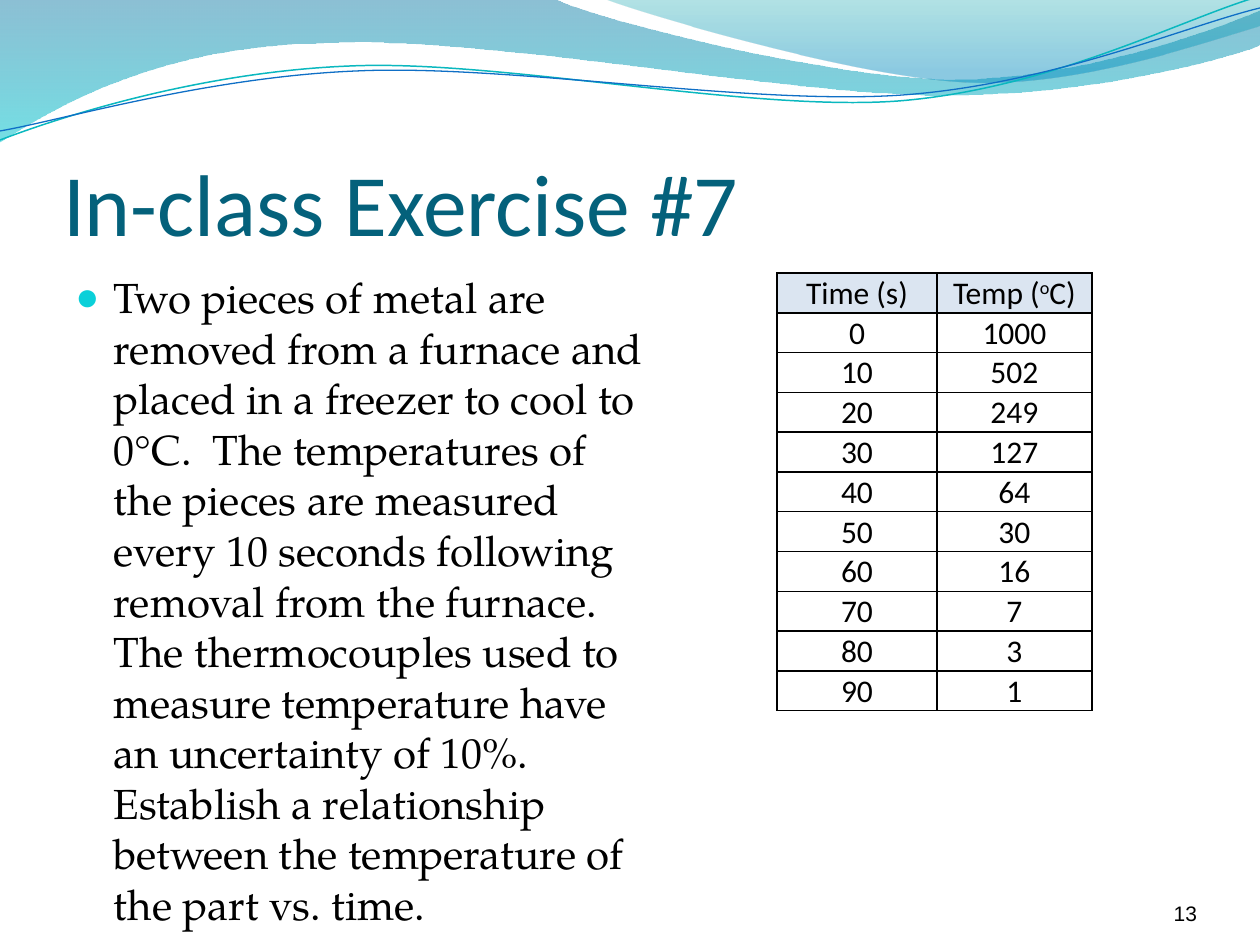
from lxml.etree import SubElement
from pptx import Presentation
from pptx.dml.color import RGBColor
from pptx.enum.text import MSO_ANCHOR, MSO_AUTO_SIZE, PP_ALIGN
from pptx.oxml.ns import qn
from pptx.util import Emu, Pt

EMU_PER_PIXEL = 914400 / 126

BLACK = RGBColor(0x00, 0x00, 0x00)
TITLE_BLUE = RGBColor(0x04, 0x61, 0x7B)
BULLET_CYAN = RGBColor(0x0B, 0xD0, 0xD9)
HEADER_FILL = RGBColor(0xDB, 0xE5, 0xF1)
DEEP_BLUE = RGBColor(0x00, 0x74, 0xA1)
CYAN = RGBColor(0x00, 0xC6, 0xCF)
TEAL = RGBColor(0x00, 0xA1, 0xA9)
SKY_BLUE = RGBColor(0x00, 0x8B, 0xBF)
TEAL_LINE = RGBColor(0x0A, 0xB8, 0xBF)
BLUE_LINE = RGBColor(0x0F, 0x6F, 0xC6)

# Each band or ribbon is a start point and segments: 2 numbers draw a line, 6 a cubic curve.
WIDE_BAND = [(0, 0), (554, -1), (600, 21, 837, 79, 955, 79),
             (1075, 79, 1207, 33, 1260, 11), (1261, 45),
             (1239, 55, 1096, 96, 940, 95), (784, 95, 481, 35, 324, 43),
             (163, 45, 58, 105, -1, 142), (0, 0)]
RIGHT_BAND = [(604, -1), (641, 14, 859, 78, 969, 82),
              (1079, 87, 1211, 40, 1260, 26), (1260, 0), (604, -1)]
TEAL_RIBBON = [(0, 140), (60, 117, 199, 72, 349, 66),
               (498, 59, 747, 112, 898, 101), (1050, 89, 1182, 19, 1257, -3)]
BLUE_RIBBON = [(0, 131), (59, 121, 207, 77, 357, 71),
               (508, 64, 752, 106, 903, 95), (1053, 84, 1186, 26, 1260, 8)]

EXERCISE = (
    "Two pieces of metal are removed from a furnace and placed in a freezer "
    "to cool to 0°C.  The temperatures of the pieces are measured every 10 "
    "seconds following removal from the furnace.  The thermocouples used to "
    "measure temperature have an uncertainty of 10%. Establish a relationship "
    "between the temperature of the part vs. time.")
TEMPERATURES = [1000, 502, 249, 127, 64, 30, 16, 7, 3, 1]
TIME_STEP = 10


def px(length):
    """Turn picture pixels into EMU."""
    return Emu(round(length * EMU_PER_PIXEL))


def write(frame, *runs, font="Calibri", size=18, color=BLACK,
          align=PP_ALIGN.LEFT, anchor=MSO_ANCHOR.TOP, superscript=None):
    """Fill a text frame with one formatted paragraph and return it."""
    frame.word_wrap = True
    frame.vertical_anchor = anchor
    paragraph = frame.paragraphs[0]
    paragraph.alignment = align
    for text in runs:
        run = paragraph.add_run()
        run.text = text
        run.font.name = font
        run.font.size = Pt(size)
        run.font.color.rgb = color
        if text == superscript:
            run.font._element.set("baseline", "30000")
    return paragraph


def set_margins(holder, left, top, right, bottom):
    """Set the inner margins of a text frame or table cell."""
    holder.margin_left, holder.margin_top = px(left), px(top)
    holder.margin_right, holder.margin_bottom = px(right), px(bottom)


def bend(shape, segments):
    """Join each three lines that stand for a curve into one cubic curve."""
    lines = iter(list(shape._element.iter(qn("a:lnTo"))))
    for segment in segments:
        pieces = [next(lines) for _ in range(len(segment) // 2)]
        if len(pieces) == 3:
            curve = pieces[0].makeelement(qn("a:cubicBezTo"))
            pieces[0].addprevious(curve)
            for piece in pieces:
                curve.append(piece[0])
                piece.getparent().remove(piece)


def add_outline(slide, outline, close):
    """Draw an outline of lines and curves as a freeform without a shadow."""
    start, *segments = outline
    points = [(px(segment[i]), px(segment[i + 1]))
              for segment in segments for i in range(0, len(segment), 2)]
    builder = slide.shapes.build_freeform(px(start[0]), px(start[1]))
    builder.add_line_segments(points, close=close)
    shape = builder.convert_to_shape()
    shape.shadow.inherit = False
    bend(shape, segments)
    return shape


def add_band(slide, outline, *stops):
    """Draw a closed band with a translucent top-to-bottom gradient."""
    band = add_outline(slide, outline, close=True)
    band.line.fill.background()
    band.fill.gradient()
    band.fill.gradient_angle = 270
    for stop, (position, color, _) in zip(band.fill.gradient_stops, stops):
        stop.position = position
        stop.color.rgb = color
    colors = band._element.spPr.iter(qn("a:srgbClr"))
    for element, (_, _, opacity) in zip(colors, stops):
        SubElement(element, qn("a:alpha"), val=str(opacity * 1000))


def add_ribbon(slide, outline, color, width):
    """Draw an open curved line."""
    ribbon = add_outline(slide, outline, close=False)
    ribbon.fill.background()
    ribbon.line.color.rgb = color
    ribbon.line.width = Pt(width)


def add_title(slide, text):
    """Place and fill the title placeholder."""
    title = slide.shapes.title
    title.left, title.top, title.width, title.height = map(px, (63, 97, 1134, 157))
    set_margins(title.text_frame, 0, 6, 0, 0)
    title.text_frame.auto_size = MSO_AUTO_SIZE.NONE
    write(title.text_frame, text, size=50, color=TITLE_BLUE, anchor=MSO_ANCHOR.BOTTOM)


def add_exercise(slide, text):
    """Add the bulleted exercise text."""
    box = slide.shapes.add_textbox(*map(px, (63, 265, 598, 611)))
    paragraph = write(box.text_frame, text, font="TeX Gyre Pagella", size=24)
    paragraph.line_spacing = Pt(28.9)
    paragraph.space_before = Pt(4)
    properties = paragraph._p.get_or_add_pPr()
    properties.set("marL", str(px(38)))
    properties.set("indent", str(px(-38)))
    bullet_color = SubElement(properties, qn("a:buClr"))
    SubElement(bullet_color, qn("a:srgbClr"), val=str(BULLET_CYAN))
    SubElement(properties, qn("a:buSzPct"), val="95000")
    SubElement(properties, qn("a:buFont"), typeface="Arial")
    SubElement(properties, qn("a:buChar"), char="●")


def add_page_number(slide, number):
    """Add the page number in the lower right corner."""
    box = slide.shapes.add_textbox(*map(px, (1092, 876, 105, 50)))
    set_margins(box.text_frame, 0, 0, 0, 0)
    write(box.text_frame, number, font="Arial", size=12,
          align=PP_ALIGN.RIGHT, anchor=MSO_ANCHOR.BOTTOM)


def add_borders(cell):
    """Give a cell thin black borders on all sides."""
    properties = cell._tc.get_or_add_tcPr()
    for index, side in enumerate(("lnL", "lnR", "lnT", "lnB")):
        border = properties.makeelement(qn(f"a:{side}"), {"w": str(Pt(1))})
        fill = SubElement(border, qn("a:solidFill"))
        SubElement(fill, qn("a:srgbClr"), val=str(BLACK))
        properties.insert(index, border)


def add_cooling_table(slide):
    """Add the table of temperature against time."""
    rows = [(["Time (s)"], ["Temp (", "o", "C)"])]
    rows += [([str(index * TIME_STEP)], [str(temperature)])
             for index, temperature in enumerate(TEMPERATURES)]
    frame = slide.shapes.add_table(
        len(rows), 2, *map(px, (777, 273, 315, 438)))
    table = frame.table
    table.first_row = table.horz_banding = False
    for column, width in zip(table.columns, (160, 155)):
        column.width = px(width)
    for row_index, row in enumerate(rows):
        for column_index, runs in enumerate(row):
            cell = table.cell(row_index, column_index)
            set_margins(cell, 1, 1, 1, 0)
            write(cell.text_frame, *runs, align=PP_ALIGN.CENTER, superscript="o")
            cell.vertical_anchor = MSO_ANCHOR.BOTTOM
            if row_index == 0:
                cell.fill.solid()
                cell.fill.fore_color.rgb = HEADER_FILL
            else:
                cell.fill.background()
            add_borders(cell)
    table.cell(0, 0).vertical_anchor = MSO_ANCHOR.MIDDLE


def main():
    """Build the slide and save it."""
    presentation = Presentation()
    presentation.slide_width, presentation.slide_height = px(1260), px(945)
    slide = presentation.slides.add_slide(presentation.slide_layouts[5])
    add_band(slide, WIDE_BAND, (0, DEEP_BLUE, 45), (1, CYAN, 55))
    add_band(slide, RIGHT_BAND, (0, TEAL, 30), (0.8, SKY_BLUE, 45))
    add_ribbon(slide, TEAL_RIBBON, TEAL_LINE, 0.85)
    add_ribbon(slide, BLUE_RIBBON, BLUE_LINE, 0.75)
    add_title(slide, "In-class Exercise #7")
    add_exercise(slide, EXERCISE)
    add_page_number(slide, "13")
    add_cooling_table(slide)
    presentation.save("out.pptx")


main()
